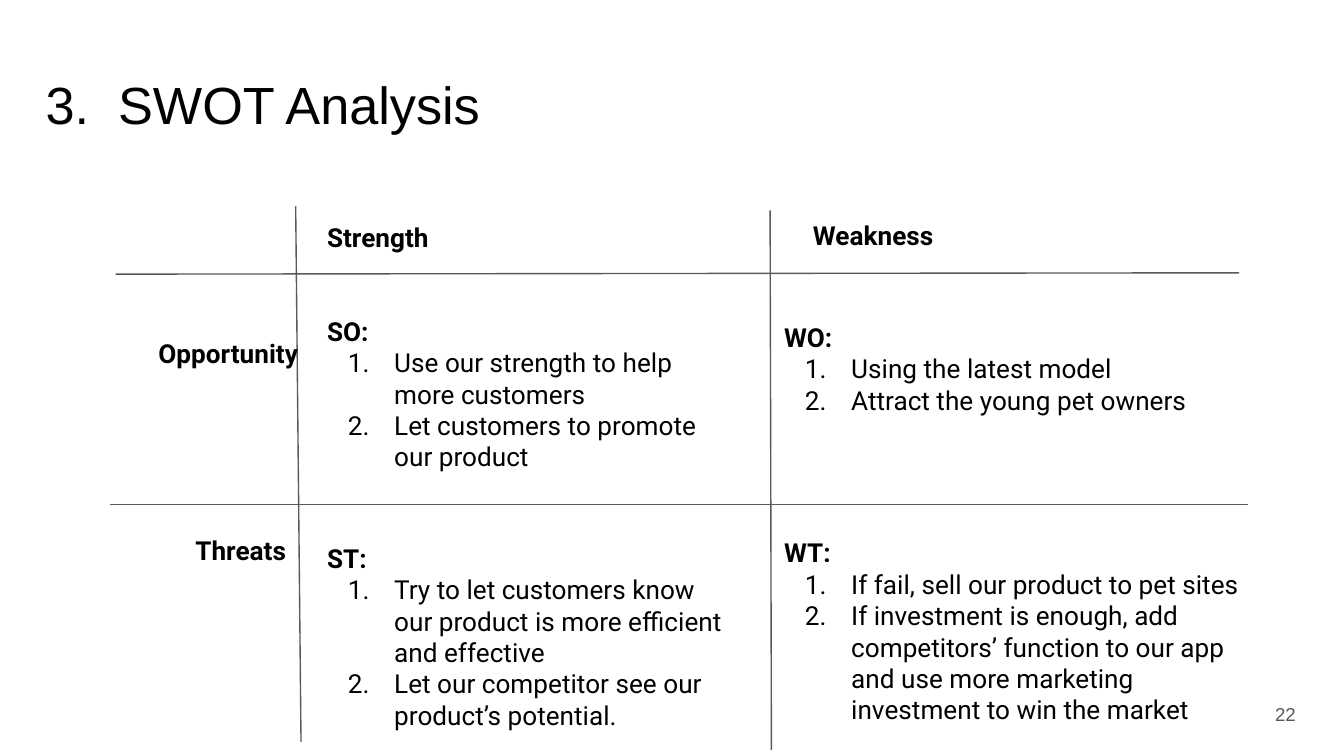
import pptx
import pptx.dml.color
import pptx.enum.shapes
import pptx.enum.text
import pptx.util
from lxml import etree

PX = 4572  # EMU per px, 200 px to the inch
SLIDE_SIZE = (2000, 1125)
BLACK, GREY = "000000", "595959"
INSET = 20
INDENT, HANGING = 100, -69

# Content: text, box (left, top, width, height)
TITLE = ("3.  SWOT Analysis", (68, 97, 1864, 126))
PAGE_NUMBER = ("22", (1853, 1020, 120, 86))

HEADINGS = [
    ("Strength", (467, 310, 510, 74)),
    ("Weakness", (1190, 306, 510, 74)),
    ("Opportunity", (216, 482, 250, 196)),
    ("Threats", (271, 775, 250, 196)),
]

STRATEGIES = [
    ("SO:", (467, 449, 592, 262), [
        "Use our strength to help more customers",
        "Let customers to promote our product",
    ]),
    ("WO:", (1147, 458, 670, 244), [
        "Using the latest model",
        "Attract the young pet owners",
    ]),
    ("ST:", (467, 787, 640, 306), [
        "Try to let customers know our product is more efficient and effective",
        "Let our competitor see our product’s potential.",
    ]),
    ("WT:", (1147, 779, 724, 292), [
        "If fail, sell our product to pet sites",
        "If investment is enough, add competitors’ function to our app "
        "and use more marketing investment to win the market",
    ]),
]

# Grid lines: from x, y, to x, y
GRID_LINES = [
    (164, 751, 1857, 751),
    (1146, 313, 1148, 1116),
    (172, 408, 1844, 406),
    (440, 307, 448, 1104),
]


def emu(*lengths):
    return [pptx.util.Emu(length * PX) for length in lengths]


def color(value):
    return pptx.dml.color.RGBColor.from_string(value)


def style(paragraph, name, size, value, bold=False):
    font = paragraph.font
    font.name, font.size, font.bold = name, pptx.util.Pt(size), bold
    font.color.rgb = color(value)


def number(paragraph):
    properties = paragraph._p.get_or_add_pPr()
    properties.set("marL", str(INDENT * PX))
    properties.set("indent", str(HANGING * PX))
    bullet_color = etree.SubElement(properties, pptx.oxml.ns.qn("a:buClr"))
    etree.SubElement(bullet_color, pptx.oxml.ns.qn("a:srgbClr"), val=BLACK)
    etree.SubElement(properties, pptx.oxml.ns.qn("a:buAutoNum"), type="arabicPeriod")


def add_text(slide, box, lines, inset=INSET, anchor="TOP"):
    frame = slide.shapes.add_textbox(*emu(*box)).text_frame
    frame.word_wrap = True
    frame.vertical_anchor = pptx.enum.text.MSO_ANCHOR[anchor]
    (frame.margin_left, frame.margin_top,
     frame.margin_right, frame.margin_bottom) = emu(*[inset] * 4)
    frame.text = "\n".join(lines)
    return frame.paragraphs


def add_line(slide, ends):
    connector = slide.shapes.add_connector(
        pptx.enum.shapes.MSO_CONNECTOR.STRAIGHT, *emu(*ends))
    connector.line.color.rgb = color(GREY)
    connector.line.width = pptx.util.Pt(0.75)
    etree.SubElement(connector._element.spPr, pptx.oxml.ns.qn("a:effectLst"))


def main():
    presentation = pptx.Presentation()
    presentation.slide_width, presentation.slide_height = emu(*SLIDE_SIZE)
    slide = presentation.slides.add_slide(presentation.slide_layouts[6])

    # Title and page number
    text, box = TITLE
    paragraph = add_text(slide, box, [text], 0, "MIDDLE")[0]
    paragraph.line_spacing = 0.9
    style(paragraph, "Arial", 28, BLACK)

    text, box = PAGE_NUMBER
    paragraph = add_text(slide, box, [text], 0, "MIDDLE")[0]
    paragraph.alignment = pptx.enum.text.PP_ALIGN.CENTER
    style(paragraph, "Arial", 10, GREY)

    # Grid
    for ends in GRID_LINES:
        add_line(slide, ends)

    # Row and column headings, then strategies
    blocks = [(heading, box, []) for heading, box in HEADINGS] + STRATEGIES
    for heading, box, items in blocks:
        first, *numbered = add_text(slide, box, [heading, *items])
        style(first, "Roboto", 14, BLACK, bold=True)
        for paragraph in numbered:
            number(paragraph)
            style(paragraph, "Roboto", 14, BLACK)

    presentation.save("out.pptx")


if __name__ == "__main__":
    main()
